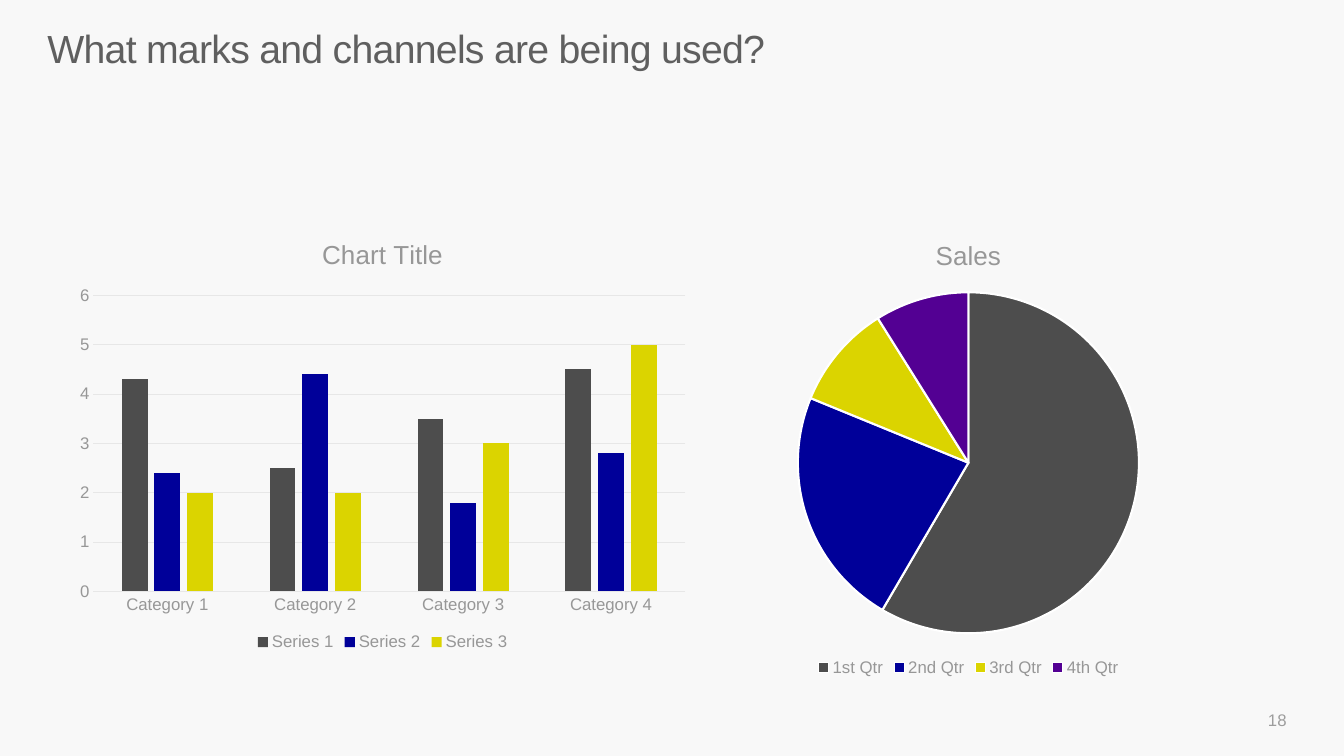
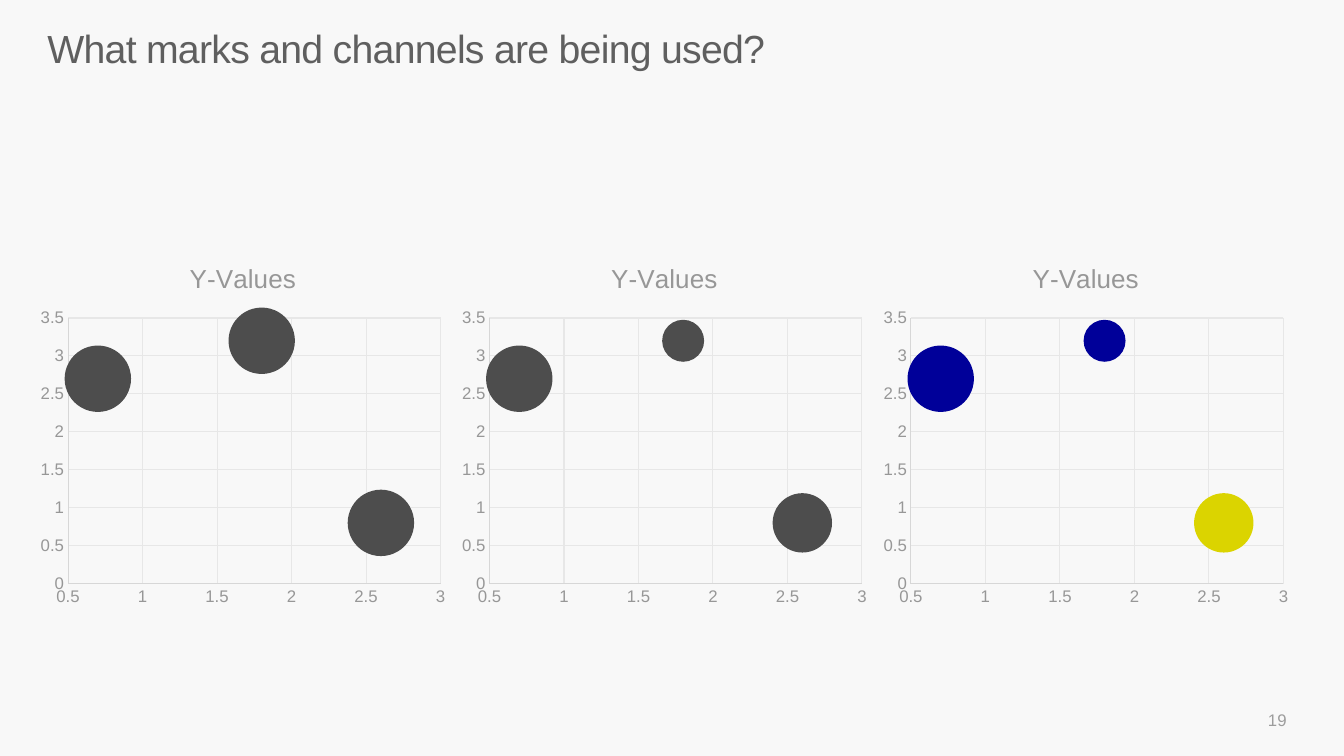
"""Builds two slides that ask which marks and channels some charts use."""
from lxml.etree import SubElement
from pptx import Presentation
from pptx.chart.data import BubbleChartData, CategoryChartData
from pptx.dml.color import RGBColor
from pptx.enum.chart import XL_CHART_TYPE as ChartType
from pptx.enum.chart import XL_LEGEND_POSITION as LegendPosition
from pptx.enum.chart import XL_TICK_MARK as TickMark
from pptx.enum.text import MSO_ANCHOR as Anchor
from pptx.enum.text import PP_ALIGN as Align
from pptx.oxml.ns import qn
from pptx.util import Inches, Pt

FONT = "Arial"
BACKGROUND, WHITE = "F8F8F8", "FFFFFF"
TITLE_GRAY, LABEL_GRAY, NUMBER_GRAY = "5F5F5F", "979797", "9D9D9D"
GRID_GRAY, AXIS_GRAY = "E7E7E7", "D7D7D7"
DARK, BLUE, YELLOW, PURPLE = PALETTE = ("4D4D4D", "000099", "DBD400", "530093")
QUESTION = "What marks and channels are being used?"


def rgb(value):
    """Return the colour for a hex string."""
    return RGBColor.from_string(value)


def style_font(font, size, color):
    """Set the shared typeface with a size and colour."""
    font.name, font.size, font.bold = FONT, Pt(size), False
    font.color.rgb = rgb(color)


def paint(shape_format, color):
    """Fill a chart mark or background with a solid colour."""
    shape_format.fill.solid()
    shape_format.fill.fore_color.rgb = rgb(color)


def draw_line(line, color, width=0.75):
    """Set the colour and width of a line."""
    line.color.rgb = rgb(color)
    line.width = Pt(width)


def add_text(page, text, place, size, color):
    """Add a one-paragraph text box and return its frame and paragraph."""
    frame = page.shapes.add_textbox(*map(Inches, place)).text_frame
    frame.word_wrap = True
    para = frame.paragraphs[0]
    para.text = text
    style_font(para.font, size, color)
    return frame, para


def add_page(deck, number):
    """Add a slide with the shared title and its slide number."""
    page = deck.slides.add_slide(deck.slide_layouts[6])
    frame, para = add_text(page, QUESTION, (0.47, 0.31, 12.39, 0.89), 28, TITLE_GRAY)
    frame.margin_left = frame.margin_right = frame.margin_top = frame.margin_bottom = 0
    para.line_spacing = 0.86
    para.runs[0].font._element.set("spc", "-50")
    frame, para = add_text(page, str(number), (9.86, 6.94, 3, 0.4), 12, NUMBER_GRAY)
    frame.vertical_anchor = Anchor.MIDDLE
    para.alignment = Align.RIGHT
    return page


def clear_fill(parent):
    """Append shape properties without fill or line and return them."""
    properties = SubElement(parent, qn("c:spPr"))
    SubElement(properties, qn("a:noFill"))
    SubElement(SubElement(properties, qn("a:ln")), qn("a:noFill"))
    return properties


def add_chart(page, kind, place, data, title):
    """Add a transparent chart with a styled title and return it."""
    chart = page.shapes.add_chart(kind, *map(Inches, place), data).chart
    style_font(chart.font, 10, TITLE_GRAY)
    body = chart.element.find(qn("c:chart"))
    clear_fill(body.find(qn("c:plotArea")))
    body.addnext(clear_fill(chart.element))
    chart.has_legend = False
    para = chart.chart_title.text_frame.paragraphs[0]
    para.text = title
    style_font(para.font, 18.6, LABEL_GRAY)
    chart.chart_title.include_in_layout = False
    return chart


def add_legend(chart):
    """Show the legend below the plot."""
    chart.has_legend = True
    chart.legend.position = LegendPosition.BOTTOM
    chart.legend.include_in_layout = False
    style_font(chart.legend.font, 12, LABEL_GRAY)


def style_axis(axis, line_color, grid):
    """Style an axis, hiding its line when no colour is given."""
    axis.major_tick_mark = axis.minor_tick_mark = TickMark.NONE
    style_font(axis.tick_labels.font, 12, LABEL_GRAY)
    if line_color:
        draw_line(axis.format.line, line_color)
    else:
        axis.format.line.fill.background()
    axis.has_major_gridlines = grid
    if grid:
        draw_line(axis.major_gridlines.format.line, GRID_GRAY)


def scale_axis(axis, low, high, step):
    """Fix the range and step of a value axis."""
    axis.minimum_scale, axis.maximum_scale, axis.major_unit = low, high, step


def add_columns(page, place):
    """Add the clustered column chart."""
    data = CategoryChartData()
    data.categories = [f"Category {index}" for index in range(1, 5)]
    rows = ((4.3, 2.5, 3.5, 4.5), (2.4, 4.4, 1.8, 2.8), (2, 2, 3, 5))
    for index, values in enumerate(rows, 1):
        data.add_series(f"Series {index}", values)
    chart = add_chart(page, ChartType.COLUMN_CLUSTERED, place, data, "Chart Title")
    add_legend(chart)
    style_axis(chart.category_axis, GRID_GRAY, False)
    style_axis(chart.value_axis, None, True)
    scale_axis(chart.value_axis, 0, 6, 1)
    plot = chart.plots[0]
    plot.vary_by_categories = False
    plot.gap_width, plot.overlap = 219, -27
    for series, color in zip(plot.series, PALETTE):
        paint(series.format, color)


def add_pie(page, place):
    """Add the pie chart."""
    data = CategoryChartData()
    data.categories = ["1st Qtr", "2nd Qtr", "3rd Qtr", "4th Qtr"]
    data.add_series("Sales", (59, 23, 10, 9))
    chart = add_chart(page, ChartType.PIE, place, data, "Sales")
    add_legend(chart)
    plot = chart.plots[0]
    plot.vary_by_categories = True
    for index, color in enumerate(PALETTE):
        point_format = plot.series[0].points[index].format
        paint(point_format, color)
        draw_line(point_format.line, WHITE, 1.5)


def add_bubbles(page, place, sizes, colors):
    """Add a bubble chart, one size and colour for each point."""
    data = BubbleChartData()
    points = data.add_series("Y-Values")
    for x, y, size in zip((0.7, 1.8, 2.6), (2.7, 3.2, 0.8), sizes):
        points.add_data_point(x, y, size)
    chart = add_chart(page, ChartType.BUBBLE, place, data, "Y-Values")
    for axis, low, high in ((chart.category_axis, 0.5, 3), (chart.value_axis, 0, 3.5)):
        style_axis(axis, AXIS_GRAY, True)
        scale_axis(axis, low, high, 0.5)
    series = chart.plots[0].series[0]
    paint(series.format, DARK)
    series.format.line.fill.background()
    for index, color in enumerate(colors):
        if color != DARK:
            point_format = series.points[index].format
            paint(point_format, color)
            point_format.line.fill.background()


def main():
    """Build and save the deck."""
    deck = Presentation()
    deck.slide_width, deck.slide_height = Inches(13.33), Inches(7.5)
    paint(deck.slide_master.background, BACKGROUND)

    page = add_page(deck, 18)
    add_columns(page, (0.67, 2.17, 6.25, 4.33))
    add_pie(page, (6.54, 2.17, 6.13, 4.58))

    page = add_page(deck, 19)
    width = 4.18
    variants = (
        ((6, 6, 6), (DARK, DARK, DARK)),
        ((10, 4, 8), (DARK, DARK, DARK)),
        ((10, 4, 8), (BLUE, BLUE, YELLOW)),
    )
    for index, (sizes, colors) in enumerate(variants):
        add_bubbles(page, (0.32 + index * width, 2.42, width, 3.66), sizes, colors)

    deck.save("out.pptx")


if __name__ == "__main__":
    main()
